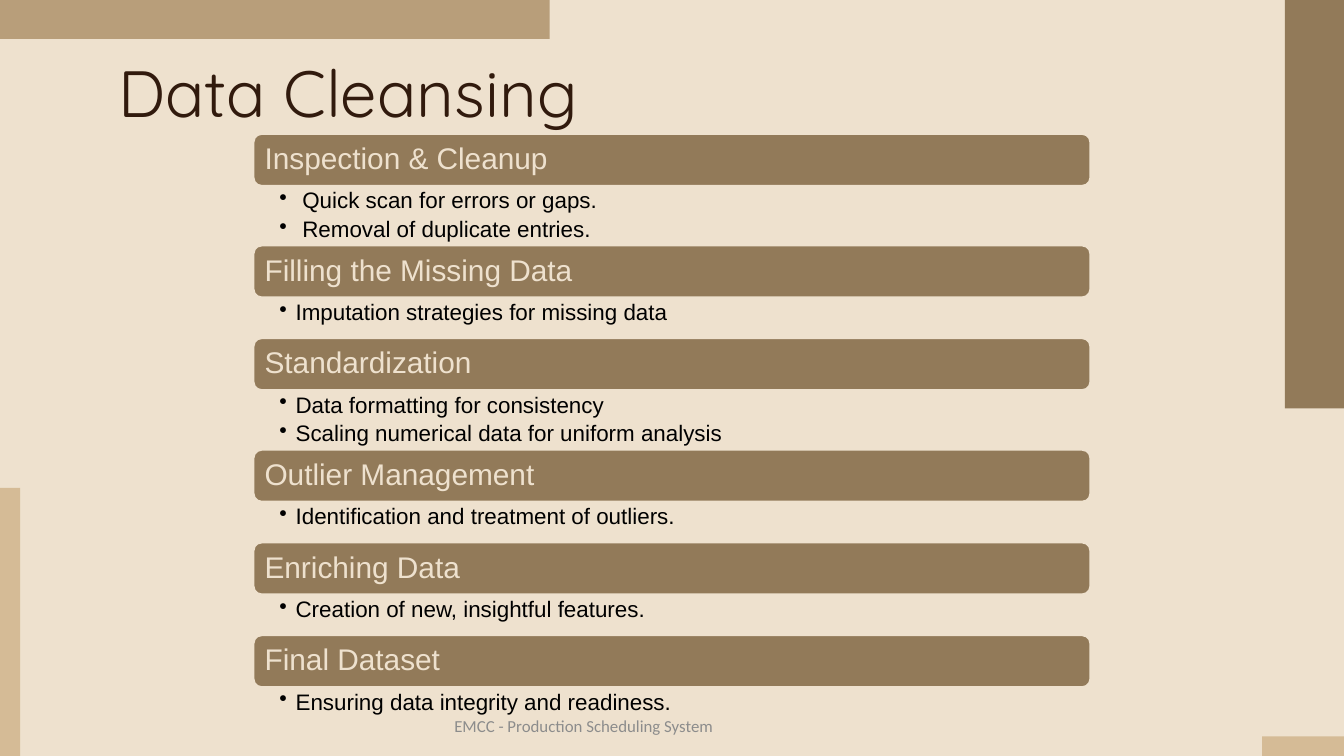
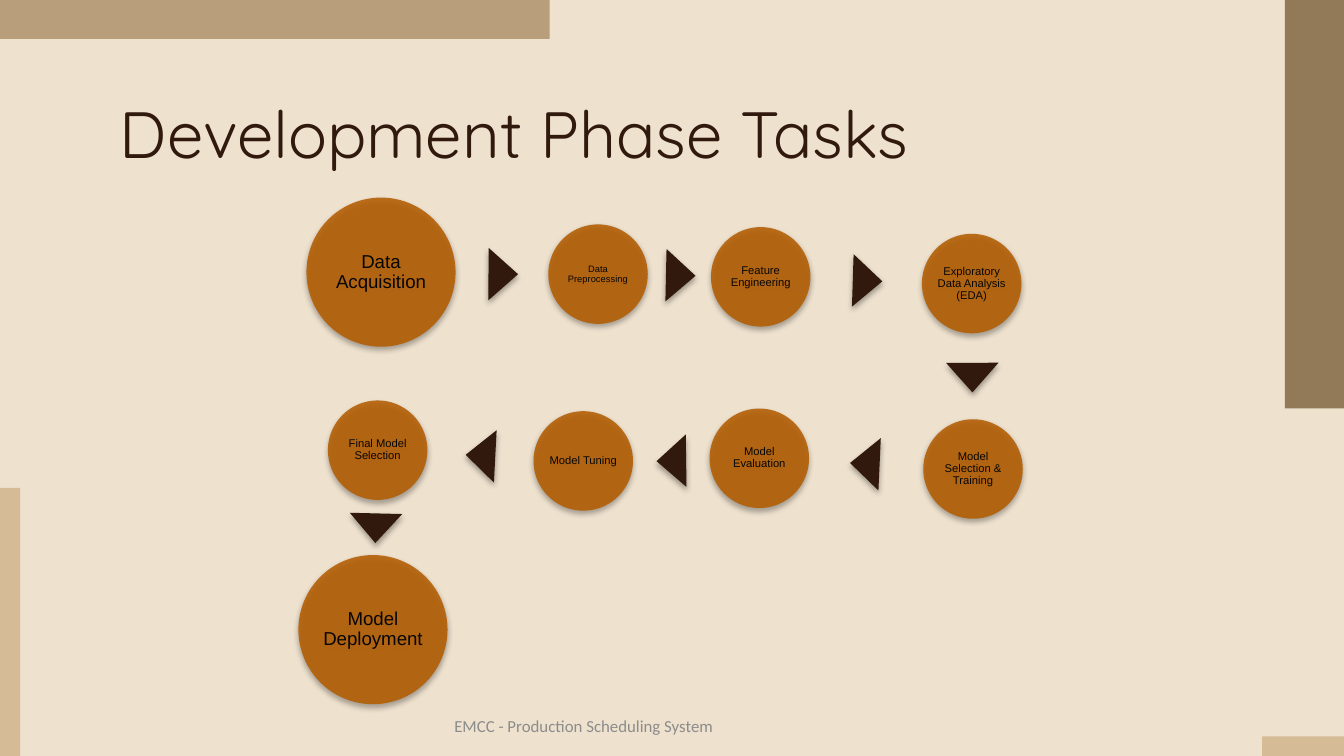
from lxml.etree import SubElement
from pptx import Presentation
from pptx.dml.color import RGBColor
from pptx.enum.shapes import MSO_SHAPE as Shape
from pptx.enum.text import MSO_ANCHOR as Anchor, MSO_AUTO_SIZE as AutoSize, PP_ALIGN as Align
from pptx.oxml.ns import qn
from pptx.util import Inches, Pt

COLORS = {
    "background": "EEE1CE",
    "title": "311A0D",
    "brown": "927A59",
    "tan": "B89E7A",
    "sand": "D5BB96",
    "orange": "B35C00",
    "black": "000000",
    "task": "080605",
    "footer": "8C8C8C",
}

SLIDE_WIDTH = 10
SLIDE_HEIGHT = SLIDE_WIDTH * 9 / 16
BANDS = [
    ((9.56, 0, 0.44, 3.04), "brown"),
    ((0, 0, 4.09, 0.29), "tan"),
    ((0, 3.63, 0.15, 2), "sand"),
    ((9.39, 5.48, 0.61, 0.15), "sand"),
]
FOOTER = "EMCC - Production Scheduling System"

CLEANSING_TITLE = "Data Cleansing"
CLEANSING_STEPS = [
    ("Inspection & Cleanup", 0.17,
     ["Quick scan for errors or gaps.", "Removal of duplicate entries."]),
    ("Filling the Missing Data", 0.12, ["Imputation strategies for missing data"]),
    ("Standardization", 0.12,
     ["Data formatting for consistency", "Scaling numerical data for uniform analysis"]),
    ("Outlier Management", 0.12, ["Identification and treatment of outliers."]),
    ("Enriching Data", 0.12, ["Creation of new, insightful features."]),
    ("Final Dataset", 0.12, ["Ensuring data integrity and readiness."]),
]
STEP_LEFT, STEP_TOP, STEP_WIDTH = 1.88, 0.99, 6.24
BAR_HEIGHT = 0.4
DETAIL_HEIGHTS = {1: 0.29, 2: 0.43}

TASKS_TITLE = "Development Phase Tasks"
LARGE, SMALL = 1.11, 0.74
TASKS = [
    ("Data Acquisition", 2.28, 1.47, LARGE, 10),
    ("Data Preprocessing", 4.08, 1.67, SMALL, 5),
    ("Feature Engineering", 5.29, 1.69, SMALL, 6),
    ("Exploratory Data Analysis (EDA)", 6.86, 1.74, SMALL, 6),
    ("Model Selection & Training", 6.87, 3.12, SMALL, 6),
    ("Model Evaluation", 5.28, 3.04, SMALL, 6),
    ("Model Tuning", 3.97, 3.06, SMALL, 6),
    ("Final Model Selection", 2.44, 2.98, SMALL, 6),
    ("Model Deployment", 2.22, 4.13, LARGE, 10),
]
ARROWS = [
    (3.55, 1.93, 90.3),
    (4.87, 1.94, 91.3),
    (6.26, 1.98, 91.8),
    (7.04, 2.7, 179.8),
    (6.24, 3.34, 272.6),
    (4.8, 3.32, 269.2),
    (3.38, 3.28, 273),
    (2.6, 3.82, 181.4),
]
ARROW_SIZE = (0.39, 0.22)


def rgb(name):
    return RGBColor.from_string(COLORS[name])


def write(shape, lines, *, size, color, font="Arial", align=Align.LEFT, anchor=Anchor.TOP,
          insets=(0.1, 0.1, 0.1, 0.1), spacing=None, after=0, bullet_indent=None):
    frame = shape.text_frame
    frame.word_wrap = True
    frame.auto_size = AutoSize.NONE
    frame.vertical_anchor = anchor
    (frame.margin_left, frame.margin_top,
     frame.margin_right, frame.margin_bottom) = map(Inches, insets)
    frame.text = "\n".join(lines)
    for paragraph in frame.paragraphs:
        if bullet_indent:
            props = paragraph._p.get_or_add_pPr()
            props.set("marL", str(Inches(bullet_indent)))
            props.set("indent", str(-Inches(bullet_indent)))
            SubElement(props, qn("a:buChar"), char="•")
        paragraph.alignment = align
        paragraph.space_before = Pt(0)
        paragraph.space_after = Pt(after)
        if spacing:
            paragraph.line_spacing = spacing
        for run in paragraph.runs:
            run.font.size = Pt(size)
            run.font.name = font
            run.font.color.rgb = rgb(color)


def add_block(slide, kind, box, fill, outline=None):
    block = slide.shapes.add_shape(kind, *map(Inches, box))
    block.shadow.inherit = False
    block.fill.solid()
    block.fill.fore_color.rgb = rgb(fill)
    if outline:
        block.line.color.rgb = rgb(outline)
        block.line.width = Pt(2)
    else:
        block.line.fill.background()
    return block


def cast_shadow(block):
    effects = block._element.spPr.find(qn("a:effectLst"))
    shadow = SubElement(effects, qn("a:outerShdw"), blurRad=str(Pt(3.1)), dist=str(Pt(1.8)),
                        dir="5400000", rotWithShape="0")
    tint = SubElement(shadow, qn("a:srgbClr"), val=COLORS["black"])
    SubElement(tint, qn("a:alpha"), val="35000")


def set_opacity(block, percent):
    fill = block._element.spPr.find(qn("a:solidFill"))
    SubElement(fill[0], qn("a:alpha"), val=str(percent * 1000))


def place(shape, box):
    shape.left, shape.top, shape.width, shape.height = map(Inches, box)


def start_slide(deck, title, title_left, title_top):
    slide = deck.slides.add_slide(deck.slide_layouts[5])
    slide.background.fill.solid()
    slide.background.fill.fore_color.rgb = rgb("background")
    for box, color in BANDS:
        add_block(slide, Shape.RECTANGLE, box, color)
    place(slide.shapes.title, (title_left, title_top, 8.43, 0.63))
    write(slide.shapes.title, [title], size=35, color="title", font="Quicksand")
    return slide


def add_footer(slide):
    footer = slide.shapes.add_textbox(*map(Inches, (3.31, 5.25, 3.38, 0.3)))
    write(footer, [FOOTER], size=9, color="footer", font="Calibri", anchor=Anchor.MIDDLE,
          insets=(0.07, 0.04, 0.07, 0.04))


def build_cleansing(deck):
    slide = start_slide(deck, CLEANSING_TITLE, 0.78, 0.29)
    top = STEP_TOP
    for heading, indent, details in CLEANSING_STEPS:
        bar = add_block(slide, Shape.ROUNDED_RECTANGLE,
                        (STEP_LEFT, top, STEP_WIDTH, BAR_HEIGHT), "brown", "background")
        write(bar, [heading], size=16, color="background", anchor=Anchor.MIDDLE,
              insets=(0.07, 0.07, 0.07, 0.07), spacing=0.9)
        top += BAR_HEIGHT
        height = DETAIL_HEIGHTS[len(details)]
        body = slide.shapes.add_textbox(*map(Inches, (STEP_LEFT, top, STEP_WIDTH, height)))
        write(body, details, size=12, color="black", insets=(0.2, 0.02, 0.12, 0.02),
              spacing=0.9, after=2.4, bullet_indent=indent)
        top += height
    add_footer(slide)


def build_tasks(deck):
    slide = start_slide(deck, TASKS_TITLE, 0.79, 0.59)
    for task, left, top, diameter, size in TASKS:
        circle = add_block(slide, Shape.OVAL, (left, top, diameter, diameter), "orange")
        set_opacity(circle, 87)
        cast_shadow(circle)
        write(circle, [task], size=size, color="task", align=Align.CENTER,
              anchor=Anchor.MIDDLE, insets=(0, 0, 0, 0), spacing=0.9)
    for left, top, angle in ARROWS:
        arrow = add_block(slide, Shape.ISOSCELES_TRIANGLE, (left, top, *ARROW_SIZE), "title")
        arrow.rotation = angle
        cast_shadow(arrow)
    add_footer(slide)


def main():
    deck = Presentation()
    deck.slide_width, deck.slide_height = Inches(SLIDE_WIDTH), Inches(SLIDE_HEIGHT)
    build_cleansing(deck)
    build_tasks(deck)
    deck.save("out.pptx")


if __name__ == "__main__":
    main()
